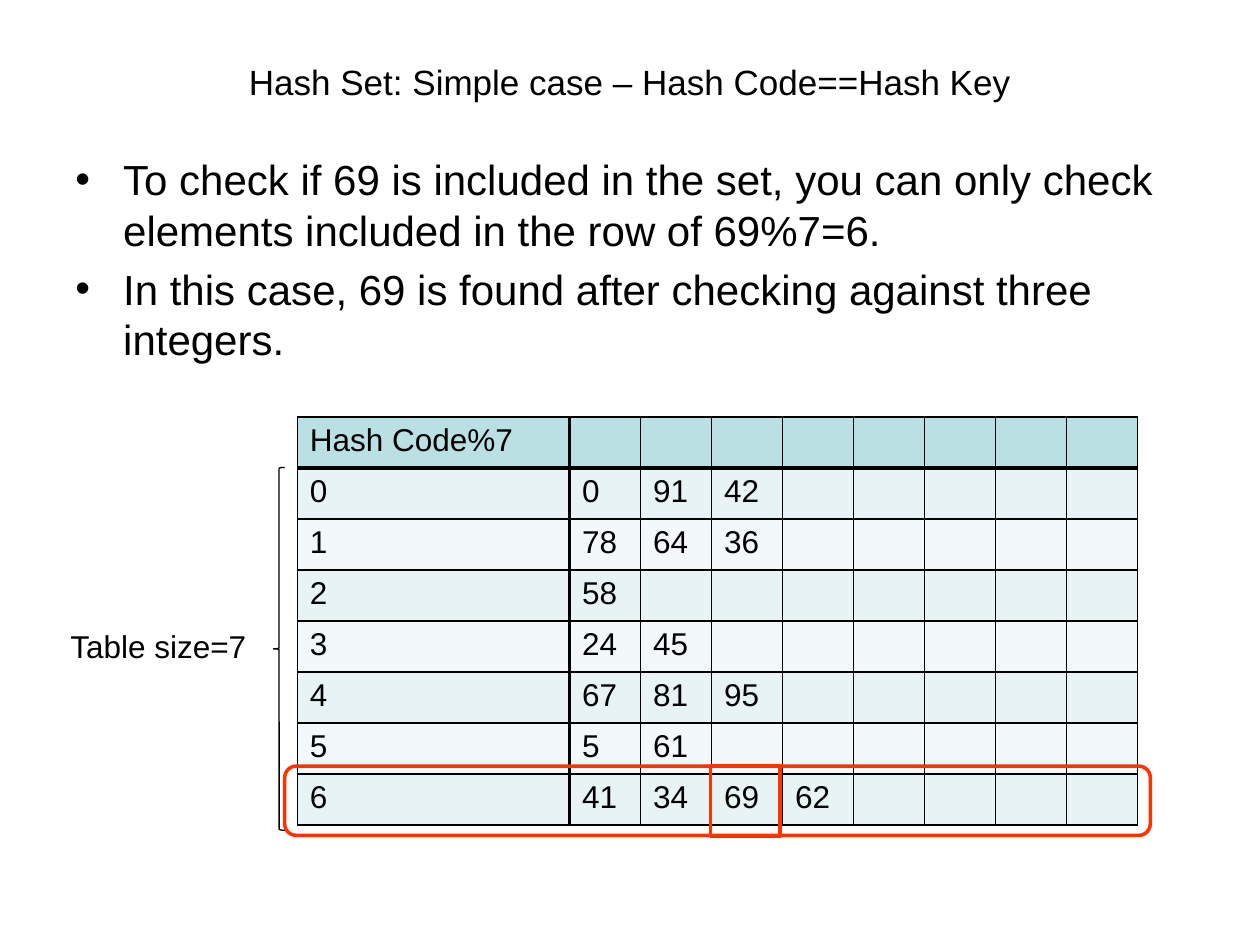
from dataclasses import dataclass
from lxml.etree import SubElement as Sub
from pptx import Presentation
from pptx.dml.color import RGBColor as RGB
from pptx.enum.shapes import MSO_SHAPE as Kind
from pptx.enum.text import MSO_ANCHOR as Anchor, PP_ALIGN as Align
from pptx.oxml import parse_xml
from pptx.oxml.ns import nsdecls, qn
from pptx.util import Inches, Pt


@dataclass(frozen=True)
class Theme:
    """Colours, font and type sizes of the slide."""
    font: str = "Arial"
    ink: str = "000000"
    mark: str = "FF3300"
    head: str = "BBE0E3"
    odd: str = "E7F3F4"
    even: str = "F3F9FA"
    title: int = 20
    body: int = 24
    small: int = 18
    thin: float = 1
    thick: float = 2.25


T = Theme()
ROWS = [[0, 91, 42], [78, 64, 36], [58], [24, 45],
        [67, 81, 95], [5, 61], [41, 34, 69, 62]]
SLOTS = 8


def style(par, size):
    """Set the font of a paragraph."""
    par.font.name = T.font
    par.font.size = Pt(size)
    par.font.color.rgb = RGB.from_string(T.ink)


def add_text(slide, box, lines, size):
    """Place a text box and return its frame."""
    frame = slide.shapes.add_textbox(*map(Inches, box)).text_frame
    frame.word_wrap = True
    frame.text = "\n".join(lines)
    for par in frame.paragraphs:
        style(par, size)
    return frame


def add_title(slide, box, text):
    """Place the centred title."""
    frame = add_text(slide, box, [text], T.title)
    frame.vertical_anchor = Anchor.MIDDLE
    frame.paragraphs[0].alignment = Align.CENTER


def add_list(slide, box, lines):
    """Place a bulleted list with hanging indents."""
    indent = Inches(0.38)
    for par in add_text(slide, box, lines, T.body).paragraphs:
        par.space_before = Pt(5)
        props = par._p.get_or_add_pPr()
        props.set("marL", str(indent))
        props.set("indent", str(-indent))
        Sub(props, qn("a:buFont"), typeface=T.font)
        Sub(props, qn("a:buChar"), char="•")


def add_lines(cell, row, col):
    """Rule the cell, thicker under the head row and after the key column."""
    thick = {"L": col == 1, "R": col == 0, "T": row == 1, "B": row == 0}
    props = cell._tc.get_or_add_tcPr()
    for pos, (side, bold) in enumerate(thick.items()):
        width = Pt(T.thick if bold else T.thin)
        props.insert(pos, parse_xml(
            f'<a:ln{side} {nsdecls("a")} w="{width}"><a:solidFill>'
            f'<a:srgbClr val="{T.ink}"/></a:solidFill></a:ln{side}>'))


def add_grid(slide, box, key):
    """Place the hash table: a key column, then equal slots."""
    data = [[key]] + [[num, *vals] for num, vals in enumerate(ROWS)]
    frame = slide.shapes.add_table(len(data), SLOTS + 1, *map(Inches, box))
    table = frame.table
    wide = 2.16
    for col, part in enumerate(table.columns):
        part.width = Inches((box[2] - wide) / SLOTS if col else wide)
    for row, vals in enumerate(data):
        fill = T.head if row == 0 else T.odd if row % 2 else T.even
        for col in range(SLOTS + 1):
            cell = table.cell(row, col)
            cell.text = str(vals[col]) if col < len(vals) else ""
            style(cell.text_frame.paragraphs[0], T.small)
            cell.fill.solid()
            cell.fill.fore_color.rgb = RGB.from_string(fill)
            add_lines(cell, row, col)


def add_frame(slide, kind, box, color, width):
    """Place an unfilled outline shape."""
    shape = slide.shapes.add_shape(kind, *map(Inches, box))
    shape.shadow.inherit = False
    shape.fill.background()
    shape.line.color.rgb = RGB.from_string(color)
    shape.line.width = Pt(width)


def add_hash(slide, box):
    """Place the table with its size label, brace and search marks."""
    left, top, width, height = box
    add_grid(slide, box, "Hash Code%7")
    add_frame(slide, Kind.LEFT_BRACE,
              (left - 0.19, top + 0.4, 0.09, 2.88), T.ink, 0.75)
    add_text(slide, (left - 1.9, top + 1.62, 1.69, 0.4),
             ["Table size=7"], T.small)
    mark = top + height - 0.47
    add_frame(slide, Kind.ROUNDED_RECTANGLE,
              (left - 0.1, mark, width + 0.2, 0.55), T.mark, 2)
    add_frame(slide, Kind.RECTANGLE,
              (left + 3.28, mark, 0.55, 0.56), T.mark, 2)


def main():
    """Build the slide and save it."""
    deck = Presentation()
    deck.slide_width, deck.slide_height = Inches(10), Inches(7.5)
    slide = deck.slides.add_slide(deck.slide_layouts[6])
    add_title(slide, (0.5, 0.3, 9, 0.7),
              "Hash Set: Simple case – Hash Code==Hash Key")
    add_list(slide, (0.5, 1.17, 9, 1.81), [
        "To check if 69 is included in the set, you can only check "
        "elements included in the row of 69%7=6.",
        "In this case, 69 is found after checking against three integers."])
    add_hash(slide, (2.36, 3.31, 6.67, 3.24))
    deck.save("out.pptx")


main()
